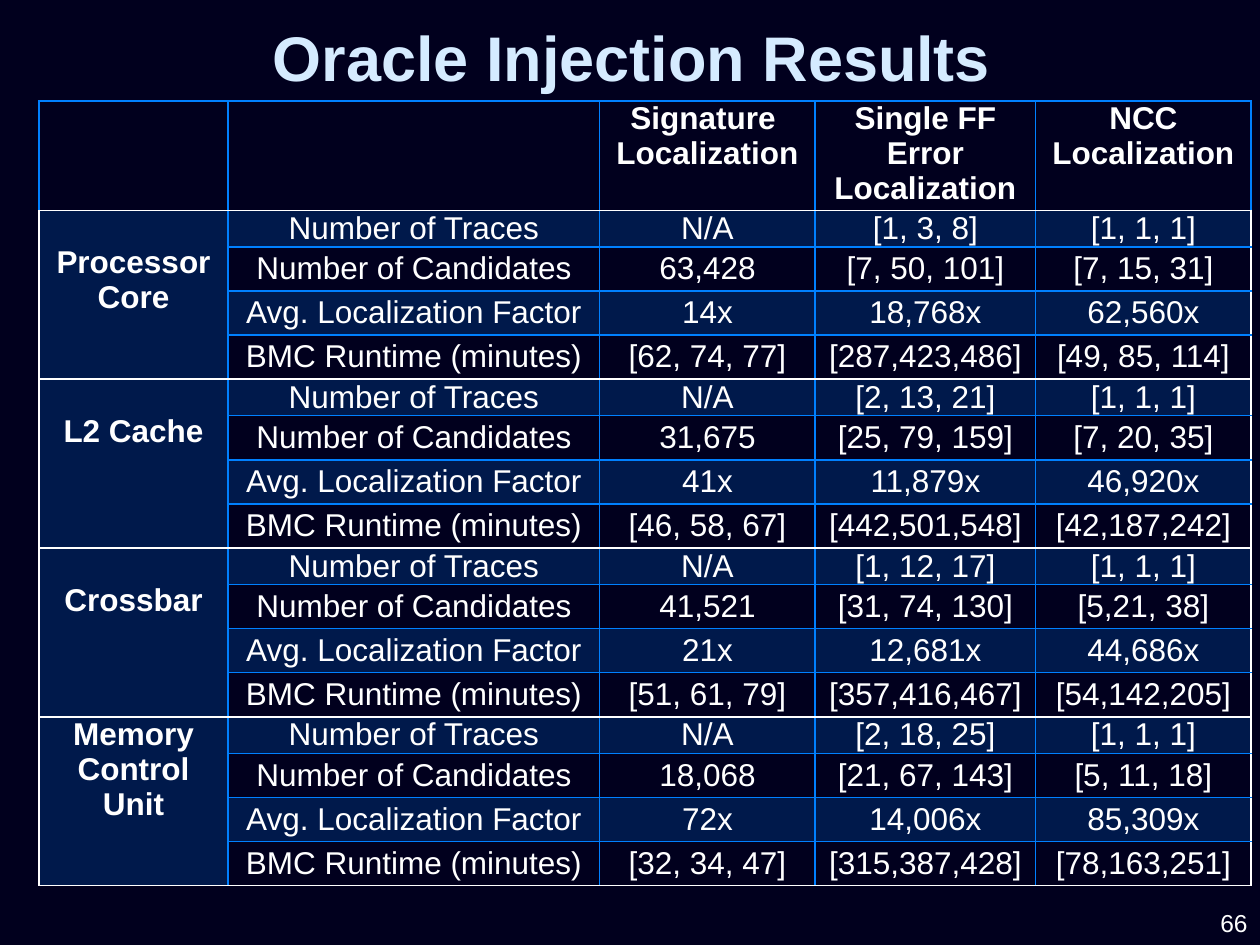
from lxml import etree
from pptx import Presentation
from pptx.dml.color import RGBColor
from pptx.enum.text import MSO_ANCHOR, PP_ALIGN
from pptx.oxml.ns import qn
from pptx.util import Inches, Pt

CENTER, RIGHT = PP_ALIGN.CENTER, PP_ALIGN.RIGHT
TOP, MIDDLE = MSO_ANCHOR.TOP, MSO_ANCHOR.MIDDLE
TITLE_ONLY = 5
GROUP_SIZE = 4
COLORS = {"night": "01001E", "title": "D5EBFF", "white": "FFFFFF", "blue": "0080FF"}

COLUMN_WIDTHS = [1.5, 2.95, 1.71, 1.75, 1.71]
HEADER_HEIGHT = 0.87
GROUP_HEIGHTS = [0.29, 0.35, 0.35, 0.35]
HEADERS = [
    [], [],
    ["Signature ", "Localization"],
    ["Single FF Error", "Localization"],
    ["NCC", "Localization"],
]
METRICS = [
    "Number of Traces", "Number of Candidates",
    "Avg. Localization Factor", "BMC Runtime (minutes)",
]
UNITS = [
    ("Processor Core", 0.28, [
        ["N/A", "[1, 3, 8]", "[1, 1, 1]"],
        ["63,428", "[7, 50, 101]", "[7, 15, 31]"],
        ["14x", "18,768x", "62,560x"],
        ["[62, 74, 77]", "[287,423,486]", "[49, 85, 114]"]]),
    ("L2 Cache", 0.28, [
        ["N/A", "[2, 13, 21]", "[1, 1, 1]"],
        ["31,675", "[25, 79, 159]", "[7, 20, 35]"],
        ["41x", "11,879x", "46,920x"],
        ["[46, 58, 67]", "[442,501,548]", "[42,187,242]"]]),
    ("Crossbar", 0.28, [
        ["N/A", "[1, 12, 17]", "[1, 1, 1]"],
        ["41,521", "[31, 74, 130]", "[5,21, 38]"],
        ["21x", "12,681x", "44,686x"],
        ["[51, 61, 79]", "[357,416,467]", "[54,142,205]"]]),
    ("Memory Control Unit", 0, [
        ["N/A", "[2, 18, 25]", "[1, 1, 1]"],
        ["18,068", "[21, 67, 143]", "[5, 11, 18]"],
        ["72x", "14,006x", "85,309x"],
        ["[32, 34, 47]", "[315,387,428]", "[78,163,251]"]]),
]


class ResultsSlide:
    """Holds the text style and the current page, and draws its elements."""

    def __init__(self, deck, font="Arial"):
        self.font = font
        self.page = deck.slides.add_slide(deck.slide_layouts[TITLE_ONLY])
        background = self.page.background.fill
        background.solid()
        background.fore_color.rgb = RGBColor.from_string(COLORS["night"])

    def add_lines(self, frame, lines, size, color="white", bold=False, align=CENTER, spacing=None):
        for index, line in enumerate(lines):
            para = frame.add_paragraph() if index else frame.paragraphs[0]
            para.alignment = align
            para.line_spacing = spacing
            span = para.add_run()
            span.text = line
            span.font.name = self.font
            span.font.size = Pt(size)
            span.font.bold = bold
            span.font.color.rgb = RGBColor.from_string(COLORS[color])

    def title(self, text, left, top, width, height):
        box = self.page.shapes.title
        box.left, box.top = Inches(left), Inches(top)
        box.width, box.height = Inches(width), Inches(height)
        box.text_frame.vertical_anchor = MIDDLE
        self.add_lines(box.text_frame, [text], 36, "title", bold=True)

    def page_number(self, text, left, top, width, height):
        box = self.page.shapes.add_textbox(
            Inches(left), Inches(top), Inches(width), Inches(height))
        box.text_frame.word_wrap = True
        box.text_frame.vertical_anchor = MIDDLE
        self.add_lines(box.text_frame, [text], 14, align=RIGHT)

    def borders(self, cell, white_sides):
        properties = cell._tc.get_or_add_tcPr()
        for side in "LRTB":
            line = etree.SubElement(properties, qn(f"a:ln{side}"), w=str(Pt(1)))
            fill = etree.SubElement(line, qn("a:solidFill"))
            color = COLORS["white" if side in white_sides else "blue"]
            etree.SubElement(fill, qn("a:srgbClr"), val=color)

    def cell(self, cell, lines, white_sides, tinted=False, bold=False, anchor=MIDDLE, gap=0):
        self.borders(cell, white_sides)
        if tinted:
            cell.fill.solid()
            cell.fill.fore_color.rgb = RGBColor.from_string(COLORS["blue"])
            color = cell._tc.tcPr.find(qn("a:solidFill"))[0]
            etree.SubElement(color, qn("a:alpha"), val="20000")
        else:
            cell.fill.background()
        cell.margin_left = cell.margin_right = Inches(0.07)
        cell.margin_top, cell.margin_bottom = Inches(gap), 0
        cell.vertical_anchor = anchor
        self.add_lines(cell.text_frame, lines, 18, bold=bold, spacing=Pt(20))

    def results_table(self, left, top):
        heights = [HEADER_HEIGHT] + GROUP_HEIGHTS * len(UNITS)
        table = self.page.shapes.add_table(
            len(heights), len(COLUMN_WIDTHS), Inches(left), Inches(top),
            Inches(sum(COLUMN_WIDTHS)), Inches(sum(heights))).table
        table.first_row = table.horz_banding = False
        for column, width in zip(table.columns, COLUMN_WIDTHS):
            column.width = Inches(width)
        for row, height in zip(table.rows, heights):
            row.height = Inches(height)
        for column, lines in enumerate(HEADERS):
            self.cell(table.cell(0, column), lines, "B", bold=True, anchor=TOP)
        for group, (unit, gap, results) in enumerate(UNITS):
            first = 1 + group * GROUP_SIZE
            last = first + GROUP_SIZE - 1
            for offset, (metric, values) in enumerate(zip(METRICS, results)):
                row = first + offset
                edges = ("T" if row == first else "") + ("B" if row == last else "")
                self.cell(table.cell(row, 0), [] if offset else [unit], "LTB",
                          tinted=True, bold=True, anchor=TOP, gap=0 if offset else gap)
                for column, text in enumerate([metric] + values, start=1):
                    right = "R" if column == len(COLUMN_WIDTHS) - 1 else ""
                    self.cell(table.cell(row, column), [text], edges + right,
                              tinted=offset % 2 == 0)
            table.cell(first, 0).merge(table.cell(last, 0))


def main():
    deck = Presentation()
    deck.slide_width, deck.slide_height = Inches(10), Inches(7.5)
    slide = ResultsSlide(deck)
    slide.title("Oracle Injection Results", 0.11, 0.09, 9.81, 0.71)
    slide.page_number("66", 8.18, 7.15, 1.82, 0.35)
    slide.results_table(0.31, 0.8)
    deck.save("out.pptx")


if __name__ == "__main__":
    main()
